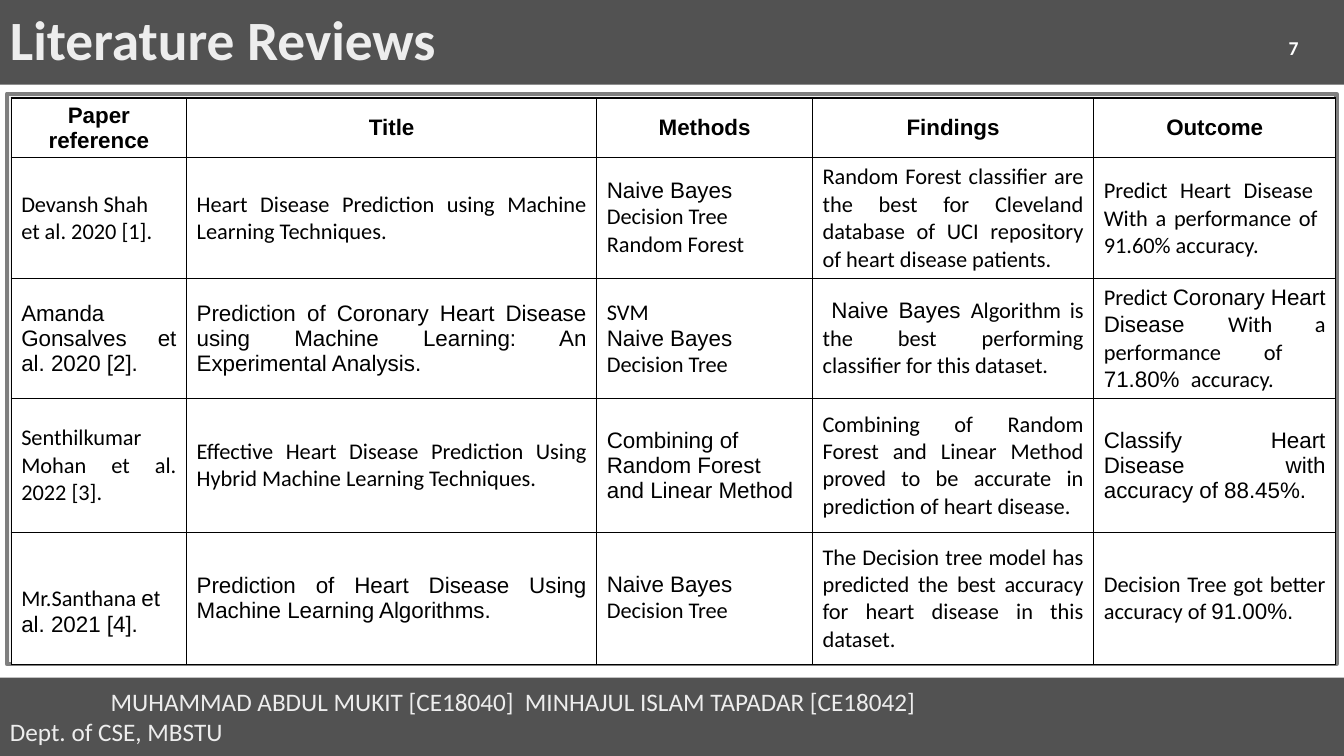
from lxml import etree
from pptx import Presentation
from pptx.dml.color import RGBColor
from pptx.enum.shapes import MSO_SHAPE
from pptx.enum.text import MSO_ANCHOR, PP_ALIGN
from pptx.oxml.ns import qn
from pptx.util import Pt

RECTANGLE = MSO_SHAPE.RECTANGLE
MIDDLE = MSO_ANCHOR.MIDDLE
LEFT, CENTER, RIGHT, JUSTIFY = (
    PP_ALIGN.LEFT, PP_ALIGN.CENTER, PP_ALIGN.RIGHT, PP_ALIGN.JUSTIFY)

COLORS = {
    "band": "525252",
    "band_text": "EDEDED",
    "frame": "F2F2F2",
    "frame_line": "7F7F7F",
    "white": "FFFFFF",
    "black": "000000",
}
SLIDE_WIDTH, SLIDE_HEIGHT = 960, 540
ARIAL, CALIBRI = "Arial", "Calibri"

COLUMN_WIDTHS = [125.3, 293, 154.1, 200.9, 172.8]
ROW_HEIGHTS = [42, 86.4, 85, 95.7, 94.3]
HEADERS = ["Paper reference", "Title", "Methods", "Findings", "Outcome"]
METHODS_COLUMN = HEADERS.index("Methods")


def arial(text):
    return text, ARIAL


def calibri(text):
    return text, CALIBRI


# Each cell is a list of paragraphs, each paragraph a list of runs.
REVIEWS = [
    [
        [[calibri("Devansh\u00a0Shah  et al. 2020 [1].")]],
        [[calibri("Heart Disease Prediction using Machine Learning Techniques.")]],
        [[arial("Naive Bayes")], [calibri("Decision Tree")], [calibri("Random Forest")]],
        [[calibri("Random Forest classifier are the best for Cleveland database "
                  "of UCI repository of heart disease patients. ")]],
        [[calibri("Predict Heart Disease  With a performance of  91.60% accuracy.")]],
    ],
    [
        [[arial("Amanda Gonsalves et al. 2020 [2].")]],
        [[arial("Prediction of Coronary Heart Disease using Machine Learning: "
                "An Experimental Analysis.")]],
        [[calibri("SVM")], [arial("Naive Bayes")], [calibri("Decision Tree")]],
        [[calibri(" "), arial("Naive Bayes "),
          calibri("Algorithm is the best performing classifier for this dataset.")]],
        [[calibri("Predict "), arial("Coronary Heart Disease "),
          calibri("With a performance of  "), arial("71.80% "), calibri(" accuracy.")]],
    ],
    [
        [[calibri("Senthilkumar Mohan et al. 2022 [3].")]],
        [[calibri("Effective Heart Disease Prediction Using Hybrid Machine "
                  "Learning Techniques.")]],
        [[arial("Combining of Random Forest and Linear Method")]],
        [[calibri("Combining of Random Forest and Linear Method proved to be "
                  "accurate in prediction of heart disease.")]],
        [[arial("Classify Heart Disease with accuracy of 88.45%.")]],
    ],
    [
        [[calibri("Mr.Santhana "), arial("et ")], [arial("al. 2021 [4].")]],
        [[arial("Prediction of Heart Disease Using Machine Learning Algorithms.")]],
        [[arial("Naive Bayes")], [calibri("Decision Tree")]],
        [[calibri("The Decision tree model has predicted the best accuracy for "
                  "heart disease in this dataset.")]],
        [[calibri("Decision Tree got better accuracy of "), arial("91.00%.")]],
    ],
]


def write_text(text_frame, paragraphs, size=16, color="black", bold=False,
               align=LEFT, line_spacing=None):
    """Fill a text frame with paragraphs of (text, font name) runs."""
    text_frame.word_wrap = True
    for index, runs in enumerate(paragraphs):
        paragraph = text_frame.add_paragraph() if index else text_frame.paragraphs[0]
        paragraph.alignment = align
        if line_spacing:
            paragraph.line_spacing = line_spacing
        for text, font_name in runs:
            run = paragraph.add_run()
            run.text = text
            run.font.name = font_name
            run.font.size = Pt(size)
            run.font.bold = bold
            run.font.color.rgb = RGBColor.from_string(COLORS[color])


def add_rectangle(slide, left, top, width, height, fill, line=None, line_width=1):
    shape = slide.shapes.add_shape(RECTANGLE, Pt(left), Pt(top), Pt(width), Pt(height))
    shape.shadow.inherit = False
    shape.fill.solid()
    shape.fill.fore_color.rgb = RGBColor.from_string(COLORS[fill])
    if line:
        shape.line.color.rgb = RGBColor.from_string(COLORS[line])
        shape.line.width = Pt(line_width)
    else:
        shape.line.fill.background()
    shape.text_frame.vertical_anchor = MIDDLE
    return shape


def add_title_band(slide, left, top, width, height):
    band = add_rectangle(slide, left, top, width, height, "band")
    write_text(band.text_frame, [[calibri("Literature Reviews")]], size=39.6,
               color="band_text", bold=True, line_spacing=0.9)


def add_page_number(slide, left, top, width, height):
    box = slide.shapes.add_textbox(Pt(left), Pt(top), Pt(width), Pt(height))
    box.text_frame.vertical_anchor = MIDDLE
    write_text(box.text_frame, [[calibri("7")]], size=14, color="white",
               bold=True, align=RIGHT)


def add_footer_band(slide, left, top, width, height):
    band = add_rectangle(slide, left, top, width, height, "band")
    authors = "MUHAMMAD ABDUL MUKIT [CE18040]  MINHAJUL ISLAM TAPADAR [CE18042]"
    write_text(band.text_frame, [[calibri(authors)], [calibri("Dept. of CSE, MBSTU")]],
               size=18, color="band_text")
    band.text_frame.paragraphs[0]._p.get_or_add_pPr().set("marL", str(Pt(72)))


def format_cell(cell):
    """Give a cell a white fill, middle anchor and thin black borders."""
    cell.vertical_anchor = MIDDLE
    properties = cell._tc.get_or_add_tcPr()
    for side in ("a:lnL", "a:lnR", "a:lnT", "a:lnB"):
        border = etree.SubElement(properties, qn(side), w=str(Pt(1)))
        fill = etree.SubElement(border, qn("a:solidFill"))
        etree.SubElement(fill, qn("a:srgbClr"), val=COLORS["black"])
    cell.fill.solid()
    cell.fill.fore_color.rgb = RGBColor.from_string(COLORS["white"])


def add_review_table(slide, left, top, width, height):
    """Draw the grey frame and, just inside it, the table."""
    add_rectangle(slide, left, top, width, height, "frame", "frame_line", 3)
    inset = 3
    table = slide.shapes.add_table(
        len(ROW_HEIGHTS), len(COLUMN_WIDTHS), Pt(left + inset), Pt(top + inset),
        Pt(sum(COLUMN_WIDTHS)), Pt(sum(ROW_HEIGHTS))).table
    table.first_row = False
    table.horz_banding = False
    for column, column_width in zip(table.columns, COLUMN_WIDTHS):
        column.width = Pt(column_width)
    for row, row_height in zip(table.rows, ROW_HEIGHTS):
        row.height = Pt(row_height)

    for index, header in enumerate(HEADERS):
        cell = table.cell(0, index)
        format_cell(cell)
        write_text(cell.text_frame, [[arial(header)]], bold=True, align=CENTER)
    for row_index, review in enumerate(REVIEWS, start=1):
        for column_index, paragraphs in enumerate(review):
            cell = table.cell(row_index, column_index)
            format_cell(cell)
            align = LEFT if column_index == METHODS_COLUMN else JUSTIFY
            write_text(cell.text_frame, paragraphs, align=align)
    # The last reference sits one line lower than the middle.
    table.cell(len(REVIEWS), 0).margin_top = Pt(22)


def build_review_slide(presentation):
    slide = presentation.slides.add_slide(presentation.slide_layouts[6])
    add_title_band(slide, 0, 0, SLIDE_WIDTH, 60.5)
    add_review_table(slide, 5, 67, 949.7, 407.5)
    add_footer_band(slide, 0, 484, SLIDE_WIDTH, 56)
    add_page_number(slide, 718.6, 19.4, 216, 28.8)


def main():
    presentation = Presentation()
    presentation.slide_width = Pt(SLIDE_WIDTH)
    presentation.slide_height = Pt(SLIDE_HEIGHT)
    build_review_slide(presentation)
    presentation.save("out.pptx")


if __name__ == "__main__":
    main()
